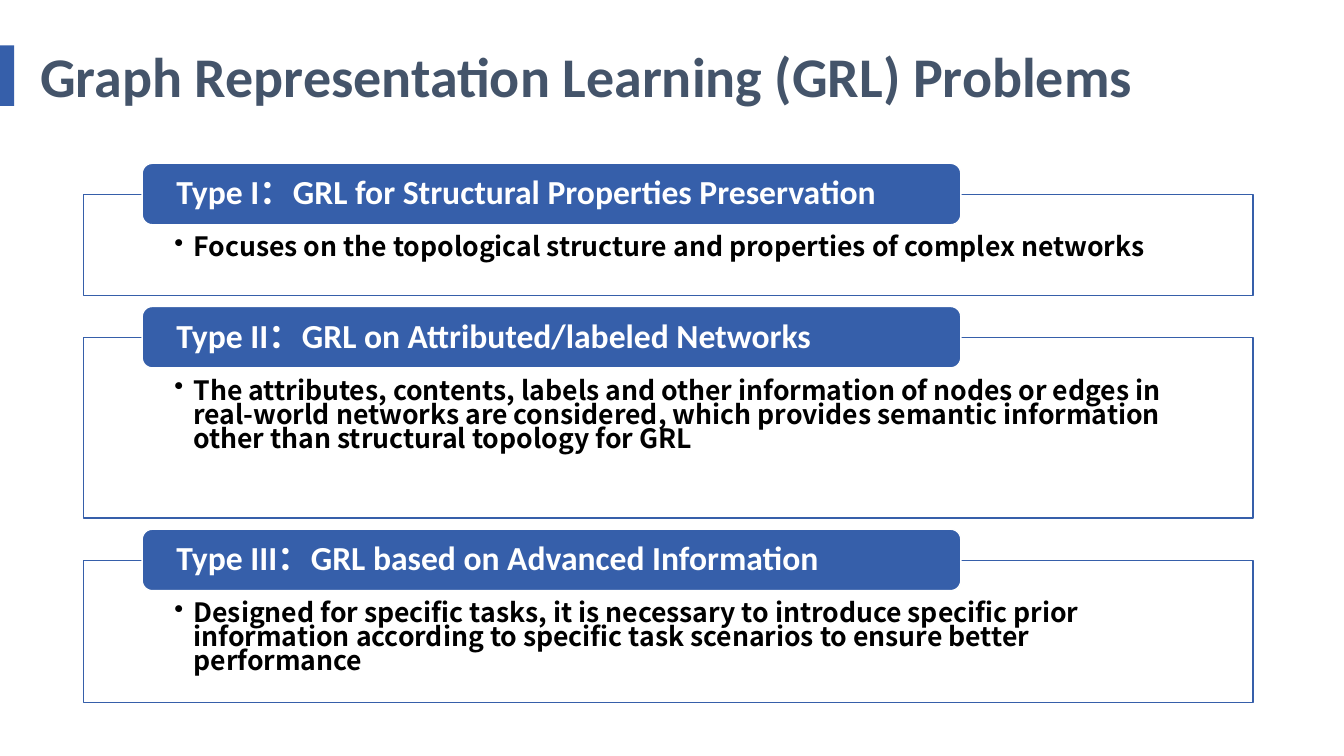
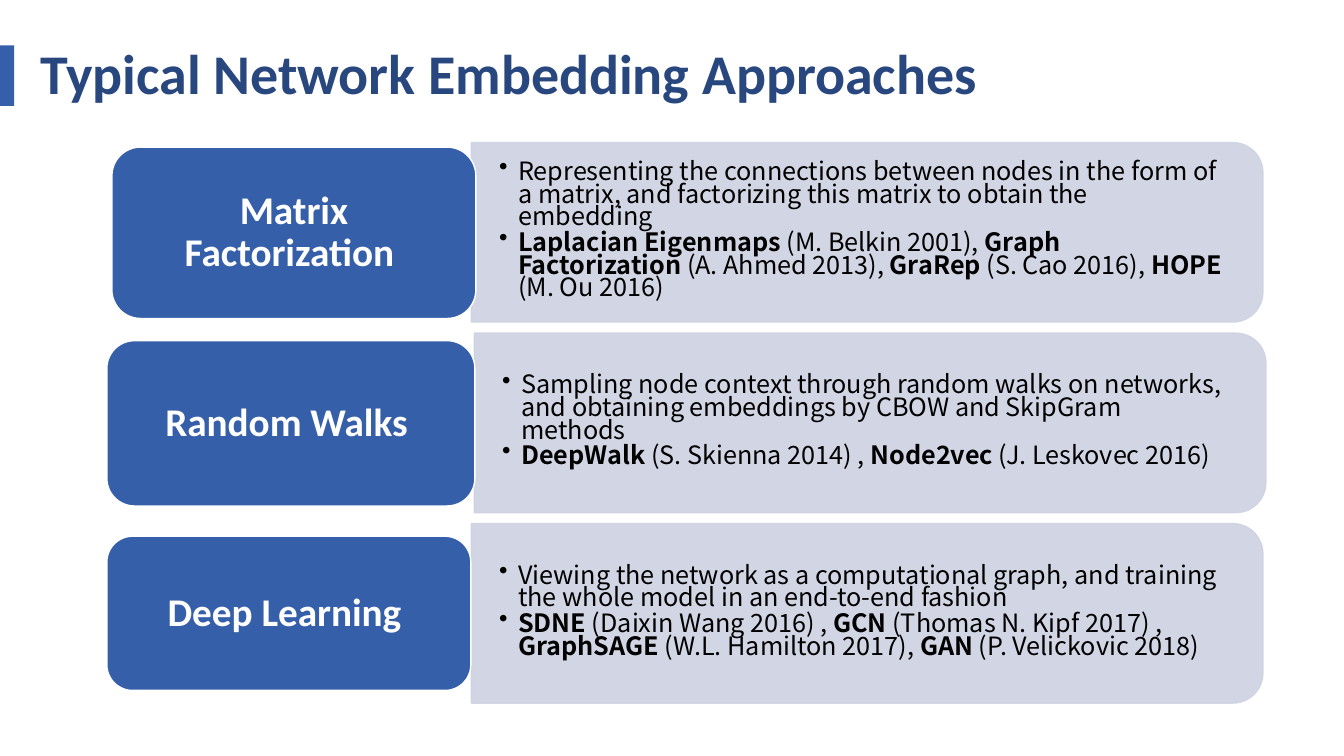
from dataclasses import dataclass

import pptx
import pptx.dml.color
import pptx.enum.shapes
import pptx.enum.text
import pptx.oxml
import pptx.oxml.ns
import pptx.util

PX = 9144  # EMU per px, 100 px to the inch
SHAPE = pptx.enum.shapes.MSO_SHAPE
ANCHOR = pptx.enum.text.MSO_ANCHOR
ALIGN = pptx.enum.text.PP_ALIGN


@dataclass(frozen=True)
class Theme:
    blue: str = "365FAA"
    slate: str = "44546A"
    navy: str = "29477F"
    panel: str = "CED2E2"
    white: str = "FFFFFF"
    black: str = "000000"
    head_font: str = "Calibri"
    body_font: str = "Noto Sans CJK SC"
    title_size: int = 40
    card_size: int = 28
    tab_size: int = 24
    note_size: int = 19
    bullet_size: int = 18
    head_spacing: float = 0.9
    body_spacing: float = 0.75


def emu(*lengths):
    return [pptx.util.Emu(n * PX) for n in lengths]


def rgb(value):
    return pptx.dml.color.RGBColor.from_string(value)


def set_alpha(shape, percent):
    """Make the fill and the line of a shape partly transparent."""
    for color in shape._element.spPr.iter(pptx.oxml.ns.qn("a:srgbClr")):
        color.append(pptx.oxml.parse_xml(
            f'<a:alpha {pptx.oxml.ns.nsdecls("a")} val="{percent * 1000}"/>'))


def add_bullet(p, indent):
    pPr = p._p.get_or_add_pPr()
    pPr.set("marL", str(indent * PX))
    pPr.set("indent", str(-indent * PX))
    pPr.append(pptx.oxml.parse_xml(
        f'<a:buChar {pptx.oxml.ns.nsdecls("a")} char="•"/>'))


class Deck:
    def __init__(self, theme):
        self.theme = theme
        self.prs = pptx.Presentation()
        self.prs.slide_width, self.prs.slide_height = emu(1333, 750)
        self.s = None

    def new_slide(self, title, color, top):
        t = self.theme
        self.s = self.prs.slides.add_slide(self.prs.slide_layouts[5])
        self.shape(SHAPE.RECTANGLE, (0, 45, 14, 60), t.blue)
        sp = self.s.shapes.title
        sp.left, sp.top, sp.width, sp.height = emu(30, top, 1196, 60)
        tf = self.frame(sp, (10, 5, 10, 5), ANCHOR.TOP)
        self.heading(tf, title, t.title_size, color, ALIGN.LEFT)

    def shape(self, kind, box, fill, line=None):
        sp = self.s.shapes.add_shape(kind, *emu(*box))
        sp.shadow.inherit = False
        sp.fill.solid()
        sp.fill.fore_color.rgb = rgb(fill)
        if line:
            sp.line.color.rgb = rgb(line)
            sp.line.width = pptx.util.Pt(1)
        else:
            sp.line.fill.background()
        return sp

    def frame(self, sp, insets, anchor):
        tf = sp.text_frame
        tf.word_wrap = True
        tf.auto_size = pptx.enum.text.MSO_AUTO_SIZE.NONE
        tf.vertical_anchor = anchor
        (tf.margin_left, tf.margin_top,
         tf.margin_right, tf.margin_bottom) = emu(*insets)
        return tf

    def run(self, p, text, font, size, color, bold):
        r = p.add_run()
        r.text = text
        r.font.name = font
        r.font.size = pptx.util.Pt(size)
        r.font.bold = bold
        r.font.color.rgb = rgb(color)

    def heading(self, tf, text, size, color, align):
        p = tf.paragraphs[0]
        p.alignment = align
        p.line_spacing = self.theme.head_spacing
        self.run(p, text, self.theme.head_font, size, color, True)

    def bullets(self, tf, items, size):
        """Write each item, a list of (text, bold) runs, as one bullet."""
        t = self.theme
        for i, runs in enumerate(items):
            p = tf.add_paragraph() if i else tf.paragraphs[0]
            p.alignment = ALIGN.LEFT
            p.line_spacing = t.body_spacing
            p.space_after = pptx.util.Pt(2)
            add_bullet(p, 19)
            for text, bold in runs:
                self.run(p, text, t.body_font, size, t.black, bold)

    def label(self, box, text, size, insets, align):
        """Add a rounded blue box with a white heading."""
        t = self.theme
        sp = self.shape(SHAPE.ROUNDED_RECTANGLE, box, t.blue, t.white)
        tf = self.frame(sp, insets, ANCHOR.MIDDLE)
        self.heading(tf, text, size, t.white, align)

    def tabbed_box(self, top, height, tab, note):
        t = self.theme
        sp = self.shape(SHAPE.RECTANGLE, (83, top, 1160, height), t.white, t.blue)
        tf = self.frame(sp, (90, 43, 90, 15), ANCHOR.TOP)
        self.bullets(tf, [[(note, True)]], t.note_size)
        self.label((141, top - 31, 812, 61), tab, t.tab_size,
                   (31, 0, 31, 0), ALIGN.LEFT)

    def panel(self, left, top, width, height, items):
        """Add a panel rounded on its right side, with bullets over it."""
        t = self.theme
        shift = (width - height) // 2
        sp = self.shape(SHAPE.ROUND_2_SAME_RECTANGLE,
                        (left + shift, top - shift, height, width),
                        t.panel, t.panel)
        sp.rotation = 90
        set_alpha(sp, 90)
        text_box = self.s.shapes.add_textbox(
            *emu(left, top + 9, width - 9, height - 18))
        tf = self.frame(text_box, (27, 14, 27, 14), ANCHOR.MIDDLE)
        self.bullets(tf, items, t.bullet_size)

    def card(self, box, text):
        self.label(box, text, self.theme.card_size, (12, 6, 12, 6), ALIGN.CENTER)


PROBLEMS = [
    (100, "Type I：GRL for Structural Properties Preservation",
     "Focuses on the topological structure and properties of complex networks"),
    (179, "Type II：GRL on Attributed/labeled Networks",
     "The attributes, contents, labels and other information of nodes or edges "
     "in real-world networks are considered, which provides semantic "
     "information other than structural topology for GRL"),
    (141, "Type III：GRL based on Advanced Information",
     "Designed for specific tasks, it is necessary to introduce specific prior "
     "information according to specific task scenarios to ensure better "
     "performance"),
]

# card name, card box, panel left, summary, methods
APPROACHES = [
    ("Matrix Factorization ", (111, 146, 361, 170), 468,
     "Representing the connections between nodes in the form of a matrix, and "
     "factorizing this matrix to obtain the embedding",
     [("Laplacian Eigenmaps ", True), ("(M. Belkin 2001), ", False),
      ("Graph Factorization ", True), ("(A. Ahmed 2013), ", False),
      ("GraRep", True), (" (S. Cao 2016), ", False),
      ("HOPE", True), (" (M. Ou 2016)", False)]),
    ("Random Walks ", (106, 338, 365, 164), 471,
     "Sampling node context through random walks on networks, and obtaining "
     "embeddings by CBOW and SkipGram methods",
     [("DeepWalk", True), (" (S. Skienna 2014) , ", False),
      ("Node2vec", True), (" (J. Leskovec 2016)", False)]),
    ("Deep Learning ", (106, 532, 361, 153), 468,
     "Viewing the network as a computational graph, and training the whole "
     "model in an end-to-end fashion",
     [("SDNE", True), (" (Daixin Wang 2016) , ", False),
      ("GCN", True), (" (Thomas N. Kipf 2017) , ", False),
      ("GraphSAGE", True), (" (W.L. Hamilton 2017), ", False),
      ("GAN", True), (" (P. Velickovic 2018)", False)]),
]


def problems_slide(deck):
    deck.new_slide("Graph Representation Learning (GRL) Problems",
                   deck.theme.slate, 44)
    top, gap = 193, 42
    for height, tab, note in PROBLEMS:
        deck.tabbed_box(top, height, tab, note)
        top += height + gap


def approaches_slide(deck):
    deck.new_slide("Typical Network Embedding Approaches", deck.theme.navy, 41)
    first, pitch = 141, 189
    for i, (name, box, left, summary, methods) in enumerate(APPROACHES):
        deck.panel(left, first + i * pitch, 785, 178,
                   [[(summary, False)], methods])
        deck.card(box, name)


def main():
    deck = Deck(Theme())
    problems_slide(deck)
    approaches_slide(deck)
    deck.prs.save("out.pptx")


if __name__ == "__main__":
    main()
